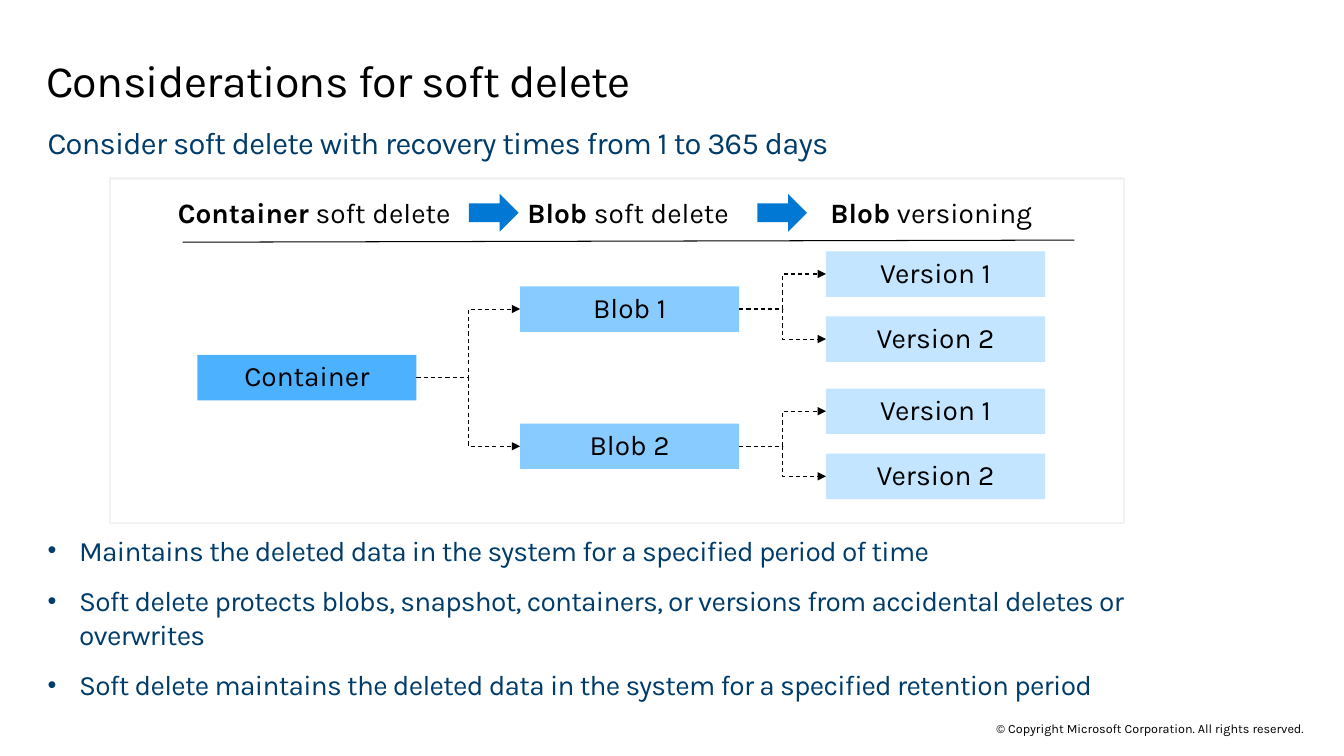
from pptx import Presentation
from pptx.dml.color import RGBColor
from pptx.enum import dml, shapes, text
from pptx.oxml.ns import qn
from pptx.util import Pt
from lxml import etree

BLACK = RGBColor(0x00, 0x00, 0x00)
NAVY = RGBColor(0x00, 0x3C, 0x6A)
DEEP = RGBColor(0x4C, 0xB1, 0xFF)
MID = RGBColor(0x88, 0xCB, 0xFF)
PALE = RGBColor(0xC3, 0xE5, 0xFF)
BLUE = RGBColor(0x00, 0x78, 0xD4)
GREY = RGBColor(0xF2, 0xF2, 0xF2)
SHAPE, LINK = shapes.MSO_SHAPE, shapes.MSO_CONNECTOR
LEFT, CENTER = text.PP_ALIGN.LEFT, text.PP_ALIGN.CENTER
TOP, MIDDLE = text.MSO_ANCHOR.TOP, text.MSO_ANCHOR.MIDDLE

prs = Presentation()
prs.slide_width, prs.slide_height = Pt(960), Pt(540)
slide = prs.slides.add_slide(prs.slide_layouts[5])
items = slide.shapes


def style(shape, size, color, align, anchor, pad, tight=False):
    """Format the text of a shape; pad is left, top, right, bottom."""
    frame = shape.text_frame
    frame.word_wrap = True
    frame.auto_size = text.MSO_AUTO_SIZE.NONE
    frame.vertical_anchor = anchor
    frame.margin_left, frame.margin_top, frame.margin_right, frame.margin_bottom = map(Pt, pad)
    for para in frame.paragraphs:
        para.alignment = align
        for run in para.runs:
            run.font.size, run.font.name = Pt(size), "Karla"
            run.font.color.rgb = color
            if tight:
                run._r.get_or_add_rPr().set("spc", "-50")


def link(kind, x1, y1, x2, y2):
    """Add a thin black connector without shadow."""
    line = items.add_connector(kind, Pt(x1), Pt(y1), Pt(x2), Pt(y2))
    line.line.color.rgb, line.line.width = BLACK, Pt(0.75)
    etree.SubElement(line._element.spPr, qn("a:effectLst"))
    return line


# Title
title = items.title
title.left, title.top, title.width, title.height = Pt(33), Pt(34.5), Pt(893), Pt(50.5)
title.text_frame.text = "Considerations for soft delete"
style(title, 32, BLACK, LEFT, TOP, (0, 7.2, 11.5, 7.2), True)
title.text_frame.paragraphs[0].line_spacing = 0.9

# Subtitle
lead = items.add_textbox(Pt(34), Pt(85), Pt(893), Pt(34))
lead.text_frame.text = "Consider soft delete with recovery times from 1 to 365 days"
style(lead, 22, NAVY, LEFT, TOP, (0, 3.6, 0, 3.6), True)

# Diagram frame
frame = items.add_shape(SHAPE.RECTANGLE, Pt(78.5), Pt(127.5), Pt(724.5), Pt(246))
frame.shadow.inherit = False
frame.fill.background()
frame.line.color.rgb, frame.line.width = GREY, Pt(1.5)

# Column heads, rule and arrows between the heads
heads = [(114.5, 220, "Container", " soft delete"),
         (346.5, 204.5, "Blob", " soft delete"),
         (563, 204.5, "Blob", " versioning")]
for x, wide, bold, rest in heads:
    head = items.add_textbox(Pt(x), Pt(136), Pt(wide), Pt(31.5))
    para = head.text_frame.paragraphs[0]
    for word in (bold, rest):
        run = para.add_run()
        run.text = word
        run.font.bold = word == bold
    style(head, 20, BLACK, CENTER, TOP, (7.2, 3.6, 7.2, 3.6))

link(LINK.STRAIGHT, 130.5, 173, 767.5, 171.5)

for x in (335, 541):
    arrow = items.add_shape(SHAPE.RIGHT_ARROW, Pt(x), Pt(138.5), Pt(35.5), Pt(27))
    arrow.shadow.inherit = False
    arrow.fill.solid()
    arrow.fill.fore_color.rgb = BLUE
    arrow.line.fill.background()

# Tree: label, left, top, fill, index of parent
WIDE, HIGH = 156.5, 32.5
nodes = [("Container", 141, 253.5, DEEP, None),
         ("Blob 1", 371.5, 204.5, MID, 0),
         ("Blob 2", 371.5, 302.5, MID, 0),
         ("Version 1", 590, 179.5, PALE, 1),
         ("Version 2", 590, 226, PALE, 1),
         ("Version 1", 590, 277.5, PALE, 2),
         ("Version 2", 590, 324, PALE, 2)]
boxes = []
for label, x, y, fill, root in nodes:
    box = items.add_shape(SHAPE.RECTANGLE, Pt(x), Pt(y), Pt(WIDE), Pt(HIGH))
    box.shadow.inherit = False
    box.fill.solid()
    box.fill.fore_color.rgb = fill
    box.line.fill.background()
    box.text_frame.text = label
    style(box, 20, BLACK, CENTER, MIDDLE, (14.4, 0, 14.4, 0))
    box.text_frame.paragraphs[0].line_spacing = 0.9
    boxes.append(box)
    if root is not None:
        branch = link(LINK.ELBOW, 0, 0, 0, 0)
        branch.begin_connect(boxes[root], 3)
        branch.end_connect(box, 1)
        branch.line.dash_style = dml.MSO_LINE.DASH
        etree.SubElement(branch.line._get_or_add_ln(), qn("a:tailEnd"), type="triangle")

# Bullets
points = ["Maintains the deleted data in the system for a specified period of time",
          "Soft delete protects blobs, snapshot, containers, or versions from "
          "accidental deletes or overwrites",
          "Soft delete maintains the deleted data in the system for a specified "
          "retention period"]
notes = items.add_textbox(Pt(34), Pt(377.5), Pt(859.5), Pt(131))
notes.text_frame.text = "\n".join(points)
for para in notes.text_frame.paragraphs:
    props = para._p.get_or_add_pPr()
    props.set("marL", str(Pt(22.5)))
    props.set("indent", str(-Pt(22.5)))
    etree.SubElement(props, qn("a:buSzPct"), val="90000")
    etree.SubElement(props, qn("a:buFont"), typeface="Arial")
    etree.SubElement(props, qn("a:buChar"), char="•")
    para.space_after = Pt(12)
style(notes, 20, NAVY, LEFT, TOP, (0, 3.6, 0, 3.6), True)

# Copyright line
credit = items.add_textbox(Pt(659.5), Pt(515), Pt(324), Pt(11))
credit.text_frame.text = "© Copyright Microsoft Corporation. All rights reserved."
style(credit, 9, BLACK, CENTER, MIDDLE, (0, 0, 0, 0))

prs.save("out.pptx")
